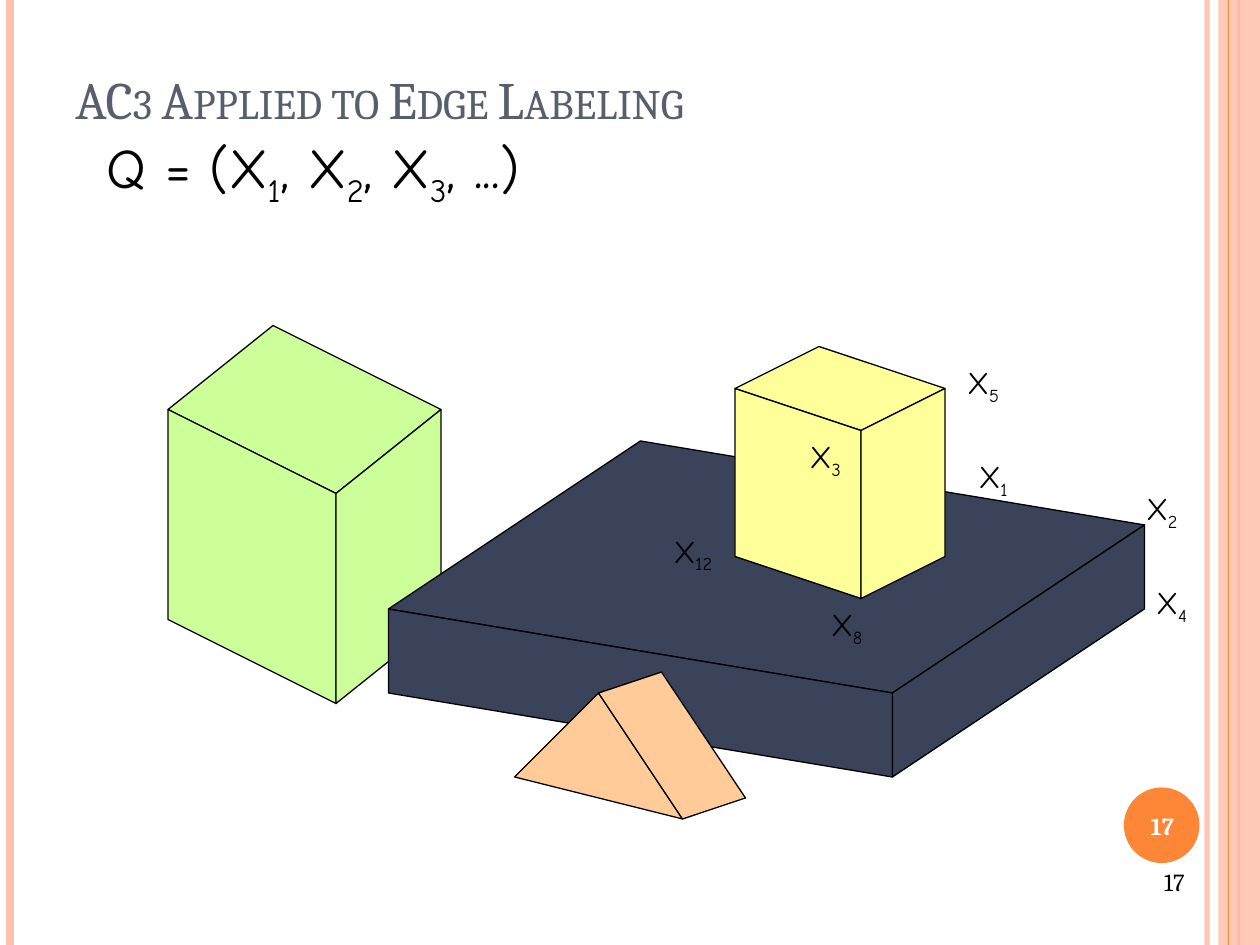
from lxml import etree
from pptx import Presentation
from pptx import util as u
from pptx.dml.color import RGBColor
from pptx.enum import shapes, text
from pptx.oxml import ns

Inches = u.Inches
UNIT = Inches(1) // 12
COLOURS = {
    "peach": "FEC3AE", "orange": "FE8637", "slate": "575F6D",
    "green": "CCFF99", "navy": "3B435B", "sand": "FFCC99",
    "yellow": "FFFF99", "black": "000000", "white": "FFFFFF",
}


def rgb(name):
    return RGBColor.from_string(COLOURS[name])


def set_alpha(part, percent):
    colour = part._element.find(".//" + ns.qn("a:srgbClr"))
    etree.SubElement(colour, ns.qn("a:alpha")).set("val", str(percent * 1000))


def add_rail(page, left, colour, width, alpha=None):
    rail = page.shapes.add_connector(
        shapes.MSO_CONNECTOR.STRAIGHT, Inches(left), 0, Inches(left), Inches(7.5))
    rail.line.color.rgb = rgb(colour)
    rail.line.width = u.Pt(width)
    etree.SubElement(rail._element.spPr, ns.qn("a:effectLst"))
    if alpha:
        set_alpha(rail, alpha)


def add_filled(page, kind, left, top, width, height, colour):
    part = page.shapes.add_shape(
        kind, Inches(left), Inches(top), Inches(width), Inches(height))
    part.shadow.inherit = False
    part.fill.solid()
    part.fill.fore_color.rgb = rgb(colour)
    part.line.fill.background()
    return part


def add_frame(page):
    add_rail(page, 9.58, "peach", 3, 93)
    add_rail(page, 0.08, "peach", 4.5)
    add_rail(page, 9.83, "orange", 1.5)
    band = add_filled(page, shapes.MSO_SHAPE.RECTANGLE, 9.67, 0, 0.33, 7.5, "peach")
    set_alpha(band, 87)
    add_rail(page, 9.75, "orange", 0.75)
    add_filled(page, shapes.MSO_SHAPE.OVAL, 8.92, 6.25, 0.6, 0.6, "orange")


def add_text(page, left, top, width, height, pieces, size, font="Cambria",
             colour="black", bold=False, wrap=True, align=text.PP_ALIGN.LEFT,
             anchor=text.MSO_ANCHOR.TOP):
    box = page.shapes.add_textbox(
        Inches(left), Inches(top), Inches(width), Inches(height))
    frame = box.text_frame
    frame.word_wrap = wrap
    frame.vertical_anchor = anchor
    para = frame.paragraphs[0]
    para.alignment = align
    para.font.size = u.Pt(size)
    para.font.name = font
    para.font.bold = bold
    para.font.color.rgb = rgb(colour)
    for index, piece in enumerate(pieces):
        span = para.add_run()
        span.text = piece
        if index % 2:
            span._r.get_or_add_rPr().set("baseline", "-25000")
    return para


def add_title(page, left, top, width, height, words):
    para = add_text(page, left, top, width, height, [words], 30, colour="slate",
                    anchor=text.MSO_ANCHOR.BOTTOM)
    para.runs[0]._r.get_or_add_rPr().set("cap", "small")


def add_solid(page, left, top, faces, colour):
    group = page.shapes.add_group_shape()
    for start, *rest in faces:
        builder = group.shapes.build_freeform(*start, scale=UNIT)
        builder.add_line_segments(rest, close=True)
        face = builder.convert_to_shape(left * UNIT, top * UNIT)
        face.shadow.inherit = False
        face.fill.solid()
        face.fill.fore_color.rgb = rgb(colour)
        face.line.color.rgb = rgb("black")
        face.line.width = u.Pt(0.75)


def shift(point, step):
    return point[0] + step[0], point[1] + step[1]


def add_block(page, left, top, front_edge, side_edge, height, colour):
    west = (0, -side_edge[1])
    south = shift(west, front_edge)
    east = shift(south, side_edge)
    north = shift(west, side_edge)
    down = (0, height)
    faces = [[west, south, east, north]]
    for start, end in ((west, south), (south, east)):
        faces.append([start, end, shift(end, down), shift(start, down)])
    add_solid(page, left, top, faces, colour)


def add_wedge(page, left, top, colour):
    ridge = (6, -2)
    foot, heel, peak = (0, 10), (16, 14), (8, 2)
    faces = [[foot, heel, peak],
             [peak, shift(peak, ridge), shift(heel, ridge), heel]]
    add_solid(page, left, top, faces, colour)


def add_scene(page):
    add_block(page, 16, 31, (16, 8), (10, -8), 20, "green")
    add_block(page, 37, 42, (48, 8), (24, -16), 8, "navy")
    add_wedge(page, 49, 64, "sand")
    add_block(page, 70, 33, (12, 4), (8, -4), 16, "yellow")


def add_labels(page):
    add_text(page, 0.75, 1, 3.97, 0.63,
             ["Q = (X", "1", ", X", "2", ", X", "3", ", ...)"], 32,
             font="Comic Neue", wrap=False)
    for number, left, top, width in (
            ("1", 7.67, 3.58, 0.46), ("5", 7.58, 2.83, 0.48),
            ("3", 6.33, 3.42, 0.48), ("8", 6.5, 4.75, 0.48),
            ("12", 5.25, 4.17, 0.56), ("2", 9, 3.83, 0.48),
            ("4", 9.08, 4.58, 0.48)):
        add_text(page, left, top, width, 0.4, ["X", number], 18,
                 font="Comic Neue", wrap=False)


def add_page_numbers(page, number):
    add_text(page, 8.89, 6.27, 0.67, 0.57, [number], 14, colour="white", bold=True,
             align=text.PP_ALIGN.CENTER, anchor=text.MSO_ANCHOR.MIDDLE)
    add_text(page, 7.17, 6.83, 2.33, 0.52, [number], 14, align=text.PP_ALIGN.RIGHT)


def main():
    deck = Presentation()
    deck.slide_width, deck.slide_height = Inches(10), Inches(7.5)
    page = deck.slides.add_slide(deck.slide_layouts[6])
    add_frame(page)
    add_title(page, 0.5, -0.17, 8.17, 1.25, "AC3 Applied to Edge Labeling")
    add_scene(page)
    add_labels(page)
    add_page_numbers(page, "17")
    deck.save("out.pptx")


if __name__ == "__main__":
    main()
